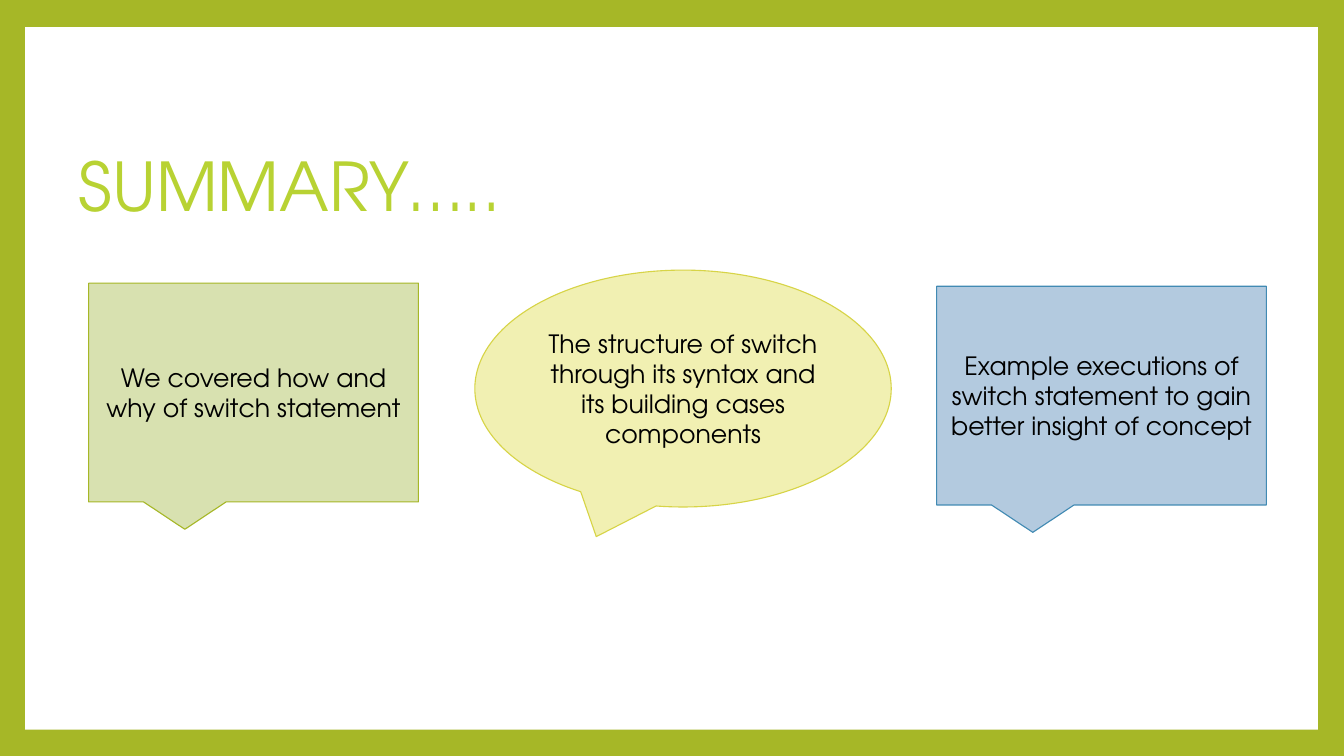
"""Build the summary slide with three callouts."""
from pptx import Presentation, util as u
from pptx.dml.color import RGBColor
from pptx.enum import shapes, text

LIME = RGBColor(0xA6, 0xB7, 0x27)
WHITE = RGBColor(0xFF, 0xFF, 0xFF)
BLACK = RGBColor(0, 0, 0)
HEAD = RGBColor(0xB8, 0xD2, 0x33)
SAGE = RGBColor(0xD8, 0xE1, 0xB0)
SKY = RGBColor(0xB3, 0xCA, 0xDF)
BLUE = RGBColor(0x41, 0x8A, 0xB3)
CREAM = RGBColor(0xF1, 0xF0, 0xB2)
GOLD = RGBColor(0xD7, 0xD4, 0x47)
FONT = "TeX Gyre Adventor"
KIND = shapes.MSO_SHAPE
RECT, OVAL = KIND.RECTANGULAR_CALLOUT, KIND.OVAL_CALLOUT

TITLE = "SUMMARY….."
NOTES = [
    (RECT, (0.88, 2.81, 3.27, 2.17), SAGE, LIME,
     "We covered how and why of switch statement"),
    (RECT, (9.29, 2.84, 3.27, 2.17), SKY, BLUE,
     "Example executions of switch statement to gain better insight of concept"),
    (OVAL, (4.71, 2.68, 4.13, 2.35), CREAM, GOLD,
     "The structure of switch through its syntax and its building cases components"),
]


def place(item, box):
    for name, size in zip(("left", "top", "width", "height"), box):
        setattr(item, name, u.Inches(size))


def write(item, words, size, color, align, anchor):
    frame = item.text_frame
    frame.text = words
    frame.word_wrap = True
    frame.auto_size = text.MSO_AUTO_SIZE.NONE
    frame.vertical_anchor = anchor
    para = frame.paragraphs[0]
    para.alignment = align
    font = para.runs[0].font
    for name, value in {"name": FONT, "size": u.Pt(size)}.items():
        setattr(font, name, value)
    font.color.rgb = color


def draw(kind, box, fill, edge=None):
    item = slide.shapes.add_shape(kind, *map(u.Inches, box))
    item.shadow.inherit = False
    item.fill.solid()
    item.fill.fore_color.rgb = fill
    if edge is None:
        item.line.fill.background()
    else:
        item.line.color.rgb = edge
        item.line.width = u.Pt(0.79)
    return item


deck = Presentation()
deck.slide_width, deck.slide_height = u.Inches(13.33), u.Inches(7.5)
slide = deck.slides.add_slide(deck.slide_layouts[5])
back = slide.background.fill
back.solid()
back.fore_color.rgb = LIME

title = slide.shapes.title
panel = draw(KIND.RECTANGLE, (0.25, 0.27, 12.82, 6.97), WHITE)
title._element.addprevious(panel._element)
place(title, (0.68, 1.38, 5.86, 0.91))
write(title, TITLE, 48, HEAD, text.PP_ALIGN.LEFT, text.MSO_ANCHOR.TOP)

for kind, box, fill, edge, words in NOTES:
    note = draw(kind, box, fill, edge)
    write(note, words, 18, BLACK, text.PP_ALIGN.CENTER, text.MSO_ANCHOR.MIDDLE)

deck.save("out.pptx")
